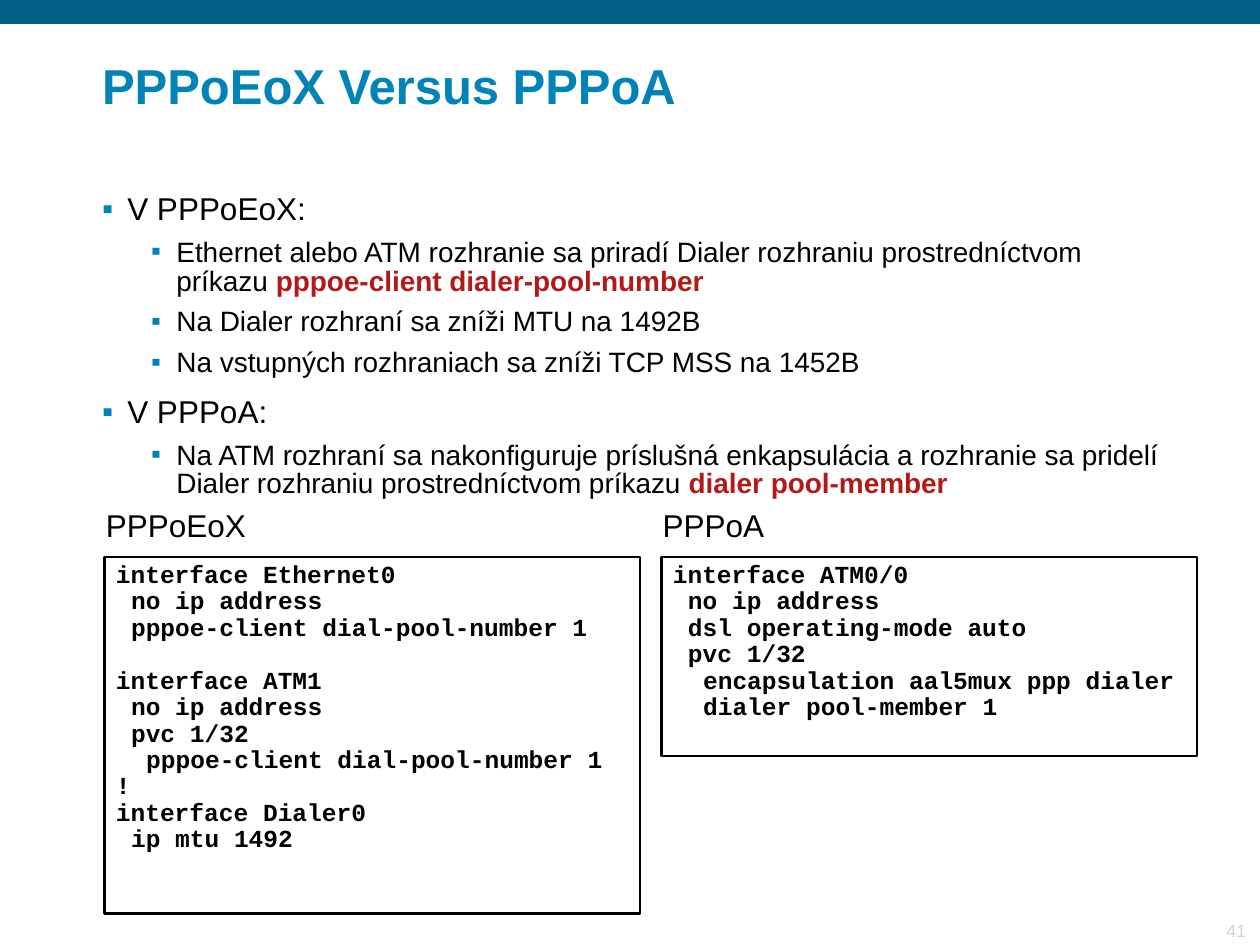
from dataclasses import dataclass

from lxml import etree
from pptx import Presentation
from pptx import util as u
from pptx.dml.color import RGBColor
from pptx.enum import shapes, text
from pptx.oxml import ns


@dataclass(frozen=True)
class Theme:
    bar: str = "015F85"
    accent: str = "0183B7"
    command: str = "B21A1A"
    ink: str = "000000"
    page: str = "D3D3D3"
    sans: str = "Arial"
    mono: str = "Courier New"
    title_size: int = 28
    large_size: int = 18
    item_size: int = 16
    code_size: int = 14
    page_size: int = 10


theme = Theme()


def set_frame(shape, anchor=text.MSO_ANCHOR.TOP, wrap=True):
    frame = shape.text_frame
    frame.auto_size = text.MSO_AUTO_SIZE.NONE
    frame.word_wrap = wrap
    frame.vertical_anchor = anchor
    frame.margin_left = frame.margin_right = u.Inches(0.09)
    frame.margin_top = frame.margin_bottom = u.Inches(0.04)
    return frame


def format_paragraph(paragraph, size, color=theme.ink, name=theme.sans, bold=False,
                     line=1.0, before=0, left=0.0, hanging=0.0, bullet=None):
    properties = paragraph._p.get_or_add_pPr()
    properties.set("marL", str(u.Inches(left)))
    properties.set("indent", str(-u.Inches(hanging)))
    if bullet:
        bullet_color = etree.SubElement(properties, ns.qn("a:buClr"))
        etree.SubElement(bullet_color, ns.qn("a:srgbClr"), val=theme.accent)
        etree.SubElement(properties, ns.qn("a:buChar"), char=bullet)
    paragraph.line_spacing = line
    paragraph.space_before = u.Pt(before)
    paragraph.alignment = text.PP_ALIGN.LEFT
    font = paragraph.font
    font.size, font.name, font.bold = u.Pt(size), name, bold
    font.color.rgb = RGBColor.from_string(color)


presentation = Presentation()
presentation.slide_width = u.Inches(10)
presentation.slide_height = u.Inches(7.5)
slide = presentation.slides.add_slide(presentation.slide_layouts[1])

# Top bar
bar = slide.shapes.add_shape(shapes.MSO_SHAPE.RECTANGLE, 0, 0, u.Inches(10), u.Inches(0.19))
bar.shadow.inherit = False
bar.fill.solid()
bar.fill.fore_color.rgb = RGBColor.from_string(theme.bar)
bar.line.fill.background()

# Title
title = slide.shapes.title
title.left, title.top = u.Inches(0.72), u.Inches(0.33)
title.width, title.height = u.Inches(8.91), u.Inches(0.75)
paragraph = set_frame(title, text.MSO_ANCHOR.MIDDLE).paragraphs[0]
paragraph.text = "PPPoEoX Versus PPPoA"
format_paragraph(paragraph, theme.title_size, theme.accent, bold=True, line=0.9)

# Bulleted list: level, text, highlighted command
items = [
    (0, "V PPPoEoX:", ""),
    (1, "Ethernet alebo ATM rozhranie sa priradí Dialer rozhraniu prostredníctvom príkazu ",
     "pppoe-client dialer-pool-number"),
    (1, "Na Dialer rozhraní sa zníži MTU na 1492B", ""),
    (1, "Na vstupných rozhraniach sa zníži TCP MSS na 1452B", ""),
    (0, "V PPPoA:", ""),
    (1, "Na ATM rozhraní sa nakonfiguruje príslušná enkapsulácia a rozhranie sa pridelí "
        "Dialer rozhraniu prostredníctvom príkazu ", "dialer pool-member"),
]
level_styles = [
    dict(size=theme.large_size, before=11.2, left=0.2),
    dict(size=theme.item_size, before=7, left=0.59),
]
body = slide.placeholders[1]
body.left, body.top = u.Inches(0.72), u.Inches(1.51)
body.width, body.height = u.Inches(8.68), u.Inches(2.71)
frame = set_frame(body)
for index, (level, words, command) in enumerate(items):
    paragraph = frame.add_paragraph() if index else frame.paragraphs[0]
    paragraph.level = level
    paragraph.add_run().text = words
    format_paragraph(paragraph, line=0.85, hanging=0.2, bullet="▪", **level_styles[level])
    if command:
        run = paragraph.add_run()
        run.text = command
        run.font.bold = True
        run.font.color.rgb = RGBColor.from_string(theme.command)

# Configuration listings: heading, left, box height, blocks of (depth, command)
listings = [
    ("PPPoEoX", 0.83, 2.83, [
        [(0, "interface Ethernet0"), (1, "no ip address"),
         (1, "pppoe-client dial-pool-number 1")],
        [(0, "interface ATM1"), (1, "no ip address"), (1, "pvc 1/32"),
         (2, "pppoe-client dial-pool-number 1"), (0, "!"),
         (0, "interface Dialer0"), (1, "ip mtu 1492")],
    ]),
    ("PPPoA", 5.25, 1.58, [
        [(0, "interface ATM0/0"), (1, "no ip address"), (1, "dsl operating-mode auto"),
         (1, "pvc 1/32"), (2, "encapsulation aal5mux ppp dialer"),
         (2, "dialer pool-member 1")],
    ]),
]
block_gap = 15.1
depth_step = 0.12
for heading, left, height, blocks in listings:
    label = slide.shapes.add_textbox(u.Inches(left - 0.08), u.Inches(4),
                                     u.Inches(1.33), u.Inches(0.42))
    paragraph = set_frame(label).paragraphs[0]
    paragraph.text = heading
    format_paragraph(paragraph, theme.large_size, line=0.95, before=11.2,
                     left=0.2, hanging=0.2)

    box = slide.shapes.add_shape(shapes.MSO_SHAPE.RECTANGLE, u.Inches(left), u.Inches(4.42),
                                 u.Inches(4.25), u.Inches(height))
    box.shadow.inherit = False
    box.fill.background()
    box.line.color.rgb = RGBColor.from_string(theme.ink)
    box.line.width = u.Pt(1.5)
    frame = set_frame(box)
    for block_index, block in enumerate(blocks):
        for line_index, (depth, command) in enumerate(block):
            first = block_index == line_index == 0
            paragraph = frame.paragraphs[0] if first else frame.add_paragraph()
            paragraph.text = command
            starts_block = block_index > 0 and line_index == 0
            format_paragraph(paragraph, theme.code_size, name=theme.mono, bold=True, line=0.9,
                             before=block_gap if starts_block else 0,
                             left=0.2 + depth * depth_step, hanging=0.2)

# Page number
page = slide.shapes.add_textbox(u.Inches(9.17), u.Inches(7.25), u.Inches(0.81), u.Inches(0.26))
paragraph = set_frame(page, text.MSO_ANCHOR.BOTTOM, wrap=False).paragraphs[0]
paragraph.text = "41"
format_paragraph(paragraph, theme.page_size, theme.page)
paragraph.alignment = text.PP_ALIGN.RIGHT

presentation.save("out.pptx")
